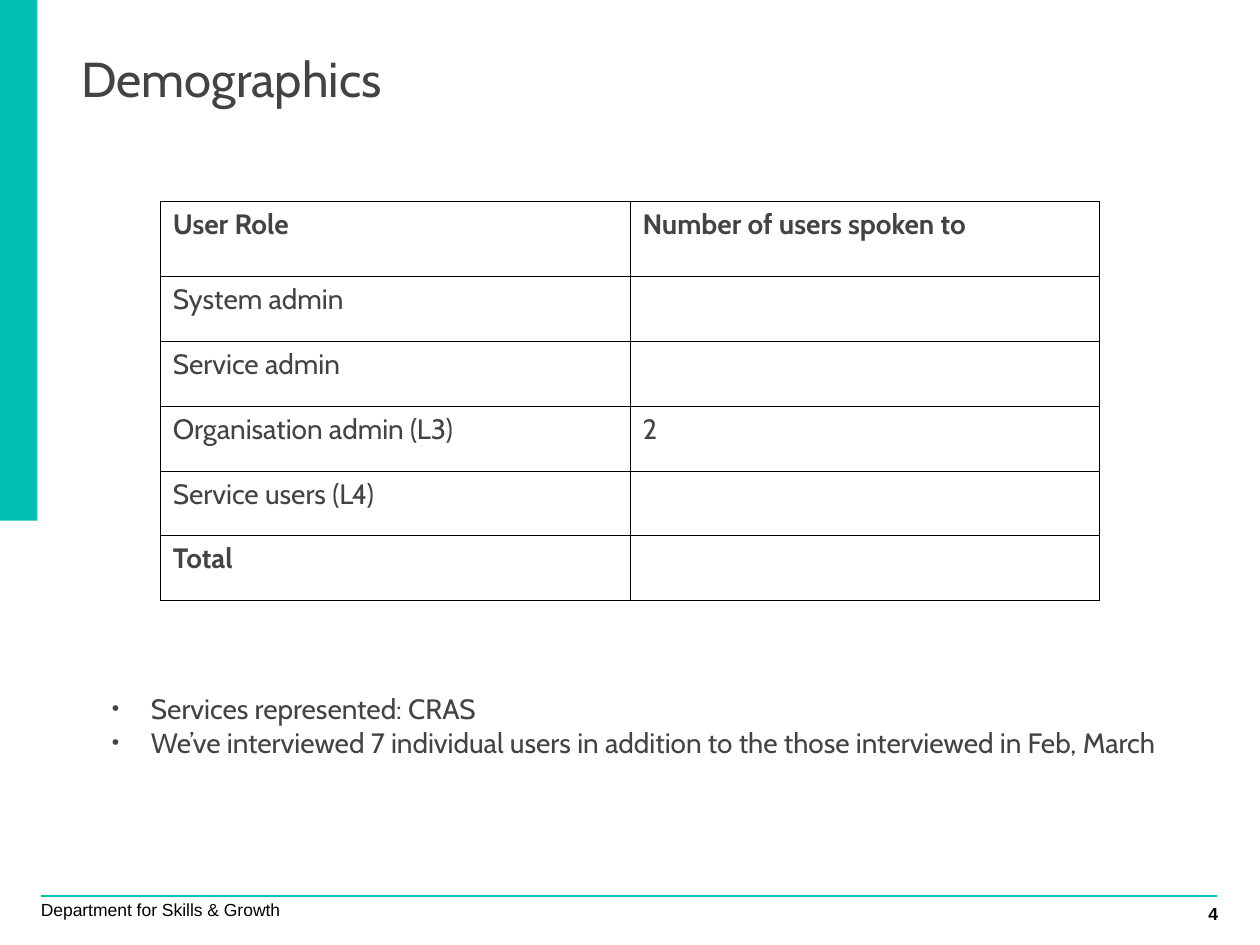
from lxml.etree import SubElement
from pptx import Presentation
from pptx.dml.color import RGBColor
from pptx.enum.shapes import MSO_CONNECTOR as Connector, MSO_SHAPE as Shape
from pptx.enum.text import MSO_ANCHOR as Anchor, MSO_AUTO_SIZE as AutoSize, PP_ALIGN as Align
from pptx.oxml.ns import qn
from pptx.util import Pt

TEAL, GREY, BLACK, WHITE = "00C0B5", "434343", "000000", "FFFFFF"


def color(value):
    return RGBColor.from_string(value)


class DemographicsSlide:
    """Hold the slide and its style, with one method per kind of element."""

    font = "Cabin"
    text_size = 16
    title_size = 28
    footer_font = "Arial"
    footer_size = 10

    def __init__(self, presentation):
        self.slide = presentation.slides.add_slide(presentation.slide_layouts[5])
        self.shapes = self.slide.shapes

    def add_run(self, paragraph, text, size, font=font, ink=GREY, bold=False):
        run = paragraph.add_run()
        run.text = text
        run.font.size = Pt(size)
        run.font.name = font
        run.font.bold = bold
        run.font.color.rgb = color(ink)

    def format_frame(self, shape, inset, wrap=True):
        frame = shape.text_frame
        frame.auto_size = AutoSize.NONE
        frame.word_wrap = wrap
        frame.vertical_anchor = Anchor.TOP
        frame.margin_left = frame.margin_right = Pt(inset)
        frame.margin_top = frame.margin_bottom = Pt(inset)
        return frame

    def add_box(self, left, top, width, height, inset, wrap=True):
        box = self.shapes.add_textbox(Pt(left), Pt(top), Pt(width), Pt(height))
        return self.format_frame(box, inset, wrap)

    def set_title(self, text, left, top, width, height):
        title = self.shapes.title
        title.left, title.top = Pt(left), Pt(top)
        title.width, title.height = Pt(width), Pt(height)
        paragraph = self.format_frame(title, 9.2).paragraphs[0]
        paragraph.alignment = Align.LEFT
        self.add_run(paragraph, text, self.title_size)

    def add_bar(self, left, top, width, height):
        bar = self.shapes.add_shape(Shape.RECTANGLE, Pt(left), Pt(top), Pt(width), Pt(height))
        bar.shadow.inherit = False
        bar.fill.solid()
        bar.fill.fore_color.rgb = color(TEAL)
        bar.line.fill.background()

    def add_rule(self, left, right, y):
        rule = self.shapes.add_connector(Connector.STRAIGHT, Pt(left), Pt(y), Pt(right), Pt(y))
        rule.line.color.rgb = color(TEAL)
        rule.line.width = Pt(0.75)
        SubElement(rule.element.spPr, qn("a:effectLst"))

    def add_footer(self, text, left, top, width, height, align=Align.LEFT, bold=False, spacing=1.0):
        frame = self.add_box(left, top, width, height, 0, wrap=align == Align.RIGHT)
        paragraph = frame.paragraphs[0]
        paragraph.alignment = align
        paragraph.line_spacing = spacing
        self.add_run(paragraph, text, self.footer_size, self.footer_font, BLACK, bold)

    def add_borders(self, cell):
        properties = cell._tc.get_or_add_tcPr()
        for position, side in enumerate(("lnL", "lnR", "lnT", "lnB")):
            line = properties.makeelement(qn(f"a:{side}"), {"w": str(Pt(0.45))})
            fill = SubElement(line, qn("a:solidFill"))
            SubElement(fill, qn("a:srgbClr"), val=BLACK)
            properties.insert(position, line)

    def add_table(self, rows, left, top, width, header_height, row_height):
        height = header_height + row_height * (len(rows) - 1)
        frame = self.shapes.add_table(len(rows), len(rows[0]), Pt(left), Pt(top), Pt(width), Pt(height))
        table = frame.table
        for column in table.columns:
            column.width = Pt(width / len(rows[0]))
        for row_index, values in enumerate(rows):
            table.rows[row_index].height = Pt(row_height if row_index else header_height)
            bold = row_index in (0, len(rows) - 1)
            for column_index, text in enumerate(values):
                cell = table.cell(row_index, column_index)
                cell.fill.solid()
                cell.fill.fore_color.rgb = color(WHITE)
                self.add_borders(cell)
                if text:
                    self.add_run(cell.text_frame.paragraphs[0], text, self.text_size, bold=bold)

    def add_bullets(self, items, left, top, width, height, indent):
        frame = self.add_box(left, top, width, height, 7.2)
        for index, text in enumerate(items):
            paragraph = frame.add_paragraph() if index else frame.paragraphs[0]
            properties = paragraph._p.get_or_add_pPr()
            properties.set("marL", str(Pt(indent)))
            properties.set("indent", str(-Pt(indent)))
            bullet_color = SubElement(properties, qn("a:buClr"))
            SubElement(bullet_color, qn("a:srgbClr"), val=GREY)
            SubElement(properties, qn("a:buSzPct"), val="75000")
            SubElement(properties, qn("a:buFont"), typeface="Arial")
            SubElement(properties, qn("a:buChar"), char="•")
            self.add_run(paragraph, text, self.text_size)


def main():
    presentation = Presentation()
    presentation.slide_width, presentation.slide_height = Pt(720), Pt(540)
    page = DemographicsSlide(presentation)
    page.add_bar(0, 0, 21.4, 297.5)
    page.add_rule(23.3, 695.5, 512)
    page.add_footer("4", 656, 514.8, 40, 11.5, Align.RIGHT, bold=True, spacing=1.1)
    page.add_footer("Department for Skills & Growth", 23.3, 514, 145.5, 12.2)
    page.set_title("Demographics", 37.4, 18.7, 528.5, 54)
    rows = [
        ("User Role", "Number of users spoken to"),
        ("System admin", ""),
        ("Service admin", ""),
        ("Organisation admin (L3)", "2"),
        ("Service users (L4)", ""),
        ("Total", ""),
    ]
    page.add_table(rows, 91.6, 115.2, 536.8, 43, 37)
    bullets = [
        "Services represented: CRAS",
        "We’ve interviewed 7 individual users in addition to the those interviewed in Feb, March",
    ]
    page.add_bullets(bullets, 56.9, 388, 628.5, 88, 22.3)
    presentation.save("out.pptx")


if __name__ == "__main__":
    main()
